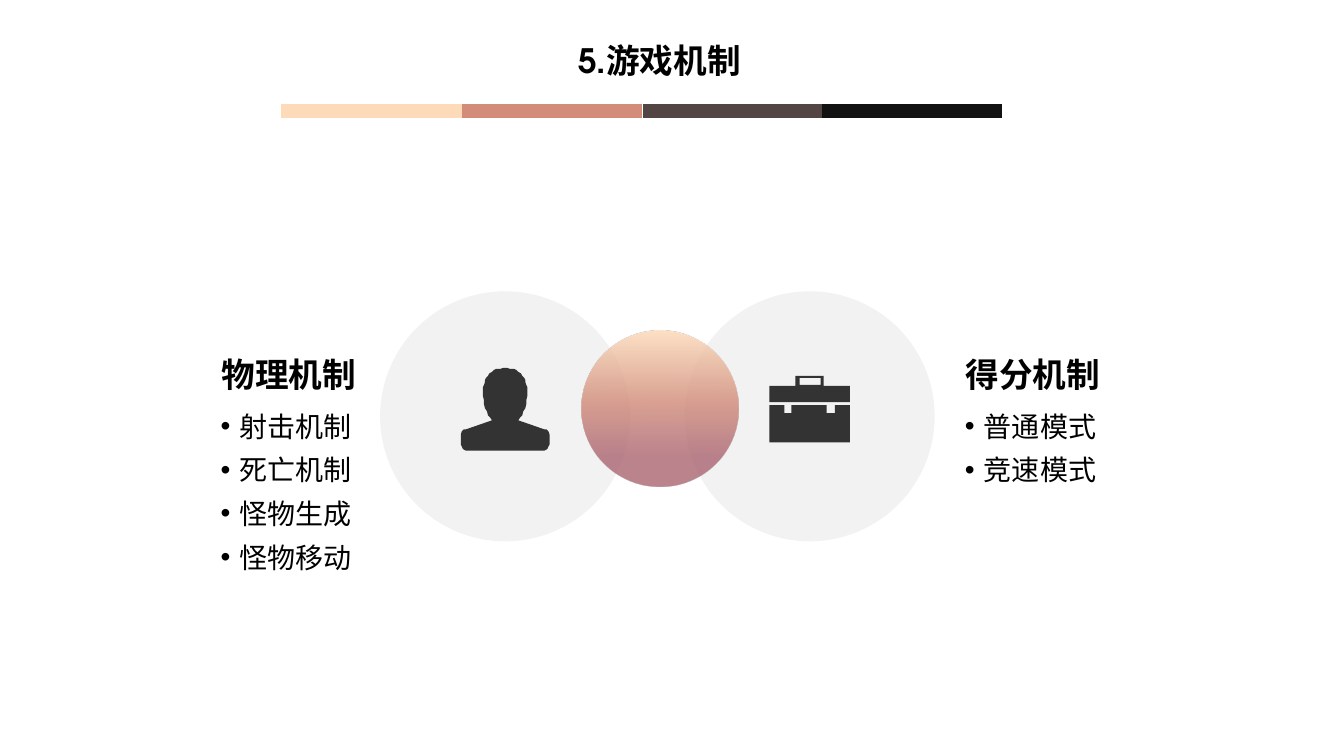
"""Build the game mechanics slide with two overlapping topics."""
from dataclasses import dataclass

from lxml import etree
from pptx import Presentation
from pptx.dml.color import RGBColor
from pptx.enum.shapes import MSO_CONNECTOR, MSO_SHAPE
from pptx.enum.text import MSO_ANCHOR, MSO_AUTO_SIZE, PP_ALIGN
from pptx.oxml.ns import qn
from pptx.util import Inches, Pt

STRAIGHT = MSO_CONNECTOR.STRAIGHT
OVAL = MSO_SHAPE.OVAL
MIDDLE = MSO_ANCHOR.MIDDLE
GROW, FIXED = MSO_AUTO_SIZE.SHAPE_TO_FIT_TEXT, MSO_AUTO_SIZE.NONE
CENTER, LEFT = PP_ALIGN.CENTER, PP_ALIGN.LEFT

PEACH = RGBColor(0xFD, 0xDA, 0xB8)
CLAY = RGBColor(0xD2, 0x8C, 0x79)
BROWN = RGBColor(0x53, 0x45, 0x44)
INK = RGBColor(0x12, 0x12, 0x12)
ROSE = RGBColor(0xAC, 0x66, 0x72)
PALE = RGBColor(0xF2, 0xF2, 0xF2)
CHARCOAL = RGBColor(0x33, 0x33, 0x33)
BLACK = RGBColor(0, 0, 0)

HEADING_FONT = "TeX Gyre Adventor"
BODY_FONT = "Noto Sans CJK SC"
HEADING = {"size": Pt(24), "bold": True, "name": HEADING_FONT}
BODY = {"size": Pt(20), "bold": False, "name": BODY_FONT}

Outline = list[tuple[int, int]]


@dataclass
class Bar:
    left: float
    color: RGBColor


@dataclass
class Circle:
    left: float
    top: float
    size: float


@dataclass
class Topic:
    left: float
    heading: str
    width: float
    height: float
    items: list[str]


BARS = [Bar(2.79, PEACH), Bar(4.58, CLAY), Bar(6.38, BROWN), Bar(8.15, INK)]
BAR_WIDTH, BAR_TOP = 1.79, 1.1
PALE_CIRCLES = [Circle(6.79, 2.89, 2.48), Circle(3.77, 2.89, 2.48)]
MIDDLE_CIRCLE = Circle(5.77, 3.28, 1.55)
GRADIENT = [(0, PEACH), (45, CLAY), (80, ROSE), (100, ROSE)]
OPACITY = 80
TOPICS = [
    Topic(2.09, "物理机制", 2.41, 1.85, ["射击机制", "死亡机制", "怪物生成", "怪物移动"]),
    Topic(9.47, "得分机制", 3.62, 0.98, ["普通模式", "竞速模式"]),
]

PERSON_CENTER = 501
PERSON_HALF = [
    (0, 365), (2, 365), (5, 366), (7, 366), (9, 366), (11, 367), (13, 369),
    (15, 370), (16, 371), (17, 373), (19, 375), (20, 377), (20, 379), (21, 382),
    (22, 384), (22, 390), (22, 393), (21, 397), (21, 401), (20, 405), (18, 408),
    (17, 412), (15, 414), (13, 417), (39, 426), (41, 426), (42, 427), (43, 428),
    (44, 431), (44, 441), (43, 443), (42, 445), (41, 446), (39, 447), (37, 447),
]
PERSON = [(PERSON_CENTER + x, y) for x, y in PERSON_HALF]
PERSON += [(PERSON_CENTER - x, y) for x, y in reversed(PERSON_HALF[1:])]
CASE_LID = [
    (817, 383), (817, 373), (789, 373), (789, 383), (763, 383),
    (763, 399), (843, 399), (843, 383),
]
CASE_HANDLE = [(814, 382), (793, 382), (793, 375), (814, 375)]
CASE_BODY = [
    (828, 410), (820, 410), (820, 402), (785, 402), (785, 410), (778, 410),
    (778, 402), (763, 402), (763, 439), (843, 439), (843, 402), (828, 402),
]
ICONS = [[PERSON], [CASE_LID, CASE_HANDLE], [CASE_BODY]]


def add_bar(page, bar: Bar) -> None:
    top = Inches(BAR_TOP)
    line = page.shapes.add_connector(
        STRAIGHT, Inches(bar.left), top, Inches(bar.left + BAR_WIDTH), top
    )
    line.line.color.rgb = bar.color
    line.line.width = Pt(10)
    etree.SubElement(line._element.spPr, qn("a:effectLst"))


def paint(shape, color: RGBColor) -> None:
    shape.shadow.inherit = False
    shape.fill.solid()
    shape.fill.fore_color.rgb = color
    shape.line.fill.background()


def add_circle(page, circle: Circle):
    size = Inches(circle.size)
    shape = page.shapes.add_shape(
        OVAL, Inches(circle.left), Inches(circle.top), size, size
    )
    paint(shape, PALE)
    return shape


def add_gradient(shape) -> None:
    shape.fill.gradient()
    shape.fill.gradient_angle = 270
    stops = shape._element.spPr.find(qn("a:gradFill")).find(qn("a:gsLst"))
    for stop in list(stops):
        stops.remove(stop)
    for position, color in GRADIENT:
        stop = etree.SubElement(stops, qn("a:gs"), pos=str(position * 1000))
        tint = etree.SubElement(stop, qn("a:srgbClr"), val=str(color))
        etree.SubElement(tint, qn("a:alpha"), val=str(OPACITY * 1000))


def add_icon(page, outlines: list[Outline]) -> None:
    first, *holes = outlines
    builder = page.shapes.build_freeform(*first[0], scale=Inches(0.01))
    builder.add_line_segments(first[1:], close=True)
    for hole in holes:
        builder.move_to(*hole[0])
        builder.add_line_segments(hole[1:], close=True)
    paint(builder.convert_to_shape(), CHARCOAL)


def add_text(page, place: tuple[float, ...], lines: list[str], font: dict,
             frame: dict, layout: dict, bullet: bool = False) -> None:
    box = page.shapes.add_textbox(*(Inches(length) for length in place))
    for name, value in frame.items():
        setattr(box.text_frame, name, value)
    for index, line in enumerate(lines):
        paras = box.text_frame
        para = paras.add_paragraph() if index else paras.paragraphs[0]
        for name, value in layout.items():
            setattr(para, name, value)
        span = para.add_run()
        span.text = line
        for name, value in font.items():
            setattr(span.font, name, value)
        span.font.color.rgb = BLACK
        etree.SubElement(span._r.rPr, qn("a:ea"), typeface=BODY_FONT)
        if bullet:
            settings = para._p.get_or_add_pPr()
            indent = Inches(0.19)
            settings.set("marL", str(indent))
            settings.set("indent", str(-indent))
            etree.SubElement(settings, qn("a:buFont"), typeface="Arial")
            etree.SubElement(settings, qn("a:buChar"), char="•")


def add_topic(page, topic: Topic) -> None:
    add_text(page, (topic.left, 3.91, topic.width, topic.height), topic.items, BODY,
             {"word_wrap": True, "auto_size": GROW},
             {"alignment": LEFT, "line_spacing": 1.3}, bullet=True)
    add_text(page, (topic.left, 3.34, 1.55, 0.57), [topic.heading], HEADING,
             {"word_wrap": False, "auto_size": GROW},
             {"alignment": CENTER, "line_spacing": 1.3})


def main() -> None:
    deck = Presentation()
    deck.slide_width, deck.slide_height = Inches(13.33), Inches(7.5)
    page = deck.slides.add_slide(deck.slide_layouts[6])
    for bar in BARS:
        add_bar(page, bar)
    add_text(page, (4.16, 0.42, 4.76, 0.4), ["5.游戏机制"], HEADING,
             {"word_wrap": True, "auto_size": FIXED, "vertical_anchor": MIDDLE},
             {"alignment": CENTER, "line_spacing": 0.9})
    for circle in PALE_CIRCLES:
        add_circle(page, circle)
    add_gradient(add_circle(page, MIDDLE_CIRCLE))
    for outlines in ICONS:
        add_icon(page, outlines)
    for topic in TOPICS:
        add_topic(page, topic)
    deck.save("out.pptx")


if __name__ == "__main__":
    main()
